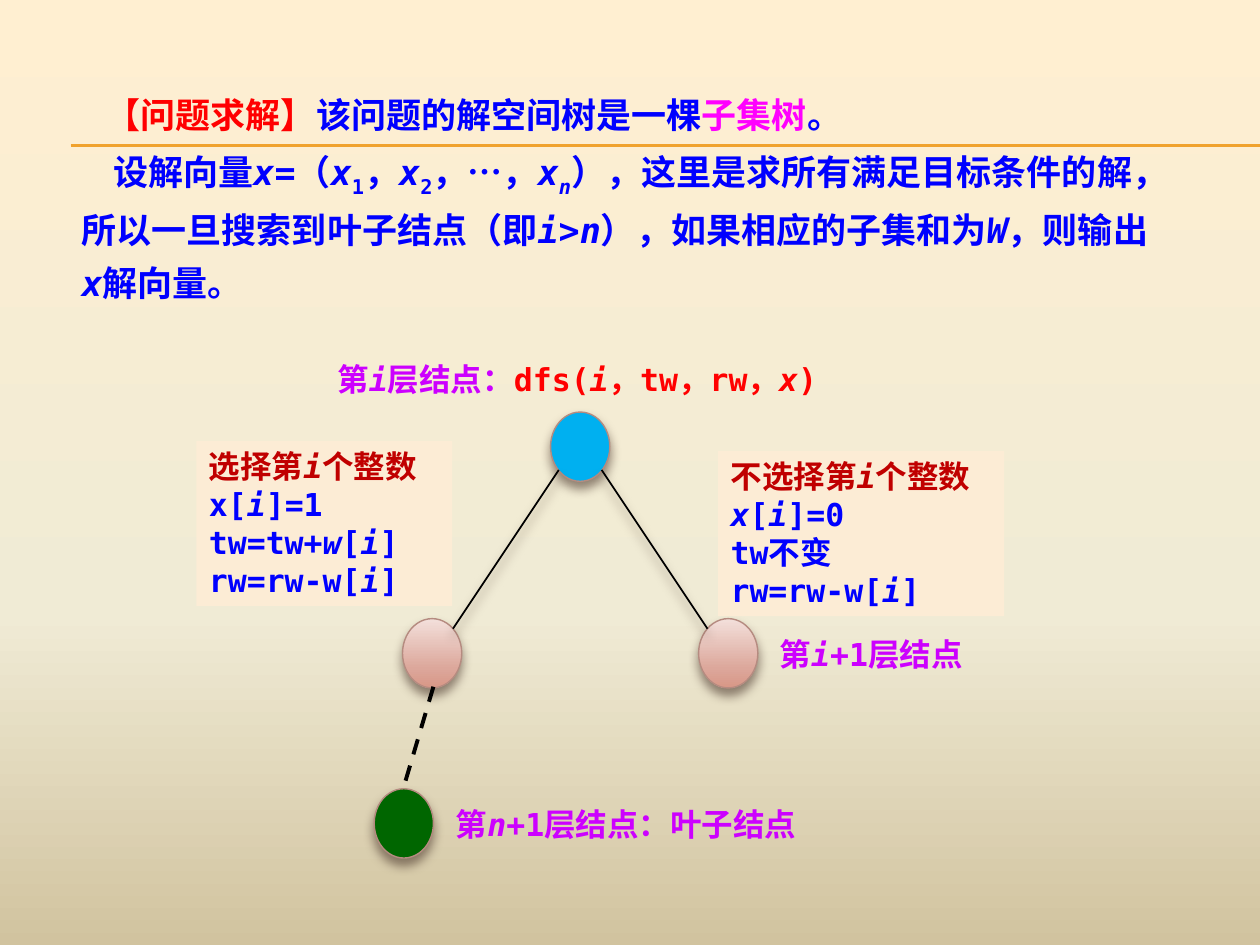
"""Build a slide that explains the subset tree of a subset-sum search."""
import pptx
import pptx.dml.color
import pptx.enum.dml
import pptx.enum.shapes
import pptx.enum.text
import pptx.oxml
import pptx.oxml.ns
import pptx.util
from pptx.util import Inches

MONO, CJK = "DejaVu Sans Mono", "Noto Sans CJK SC"
BLUE, RED, PINK, VIOLET, DARK_RED = "0000FF", "FF0000", "FF00FF", "CC00FF", "C00000"
BACKDROP = [(0, "FFEFD1"), (65, "F0EBD5"), (100, "D1C39F")]
ROSE = [(0, "F3E0DB"), (72, "DCA79B"), (100, "D89787")]
NODE_WIDTH, NODE_HEIGHT = 0.47, 0.55


def colour(value):
    """Return the RGB colour for a hex string."""
    return pptx.dml.color.RGBColor.from_string(value)


def apply(target, values):
    """Set each attribute named in values on the target."""
    for key, value in values.items():
        setattr(target, key, value)


def add_element(parent, tag, **attributes):
    """Append a drawing element with the given attributes."""
    element = pptx.oxml.parse_xml(f"<a:{tag} {pptx.oxml.ns.nsdecls('a')}/>")
    for key, value in attributes.items():
        element.set(key, str(value))
    parent.append(element)
    return element


def paint_gradient(fill, owner, stops):
    """Fill with a top-to-bottom gradient of (percent, colour) stops."""
    fill.gradient()
    fill.gradient_angle = 270
    stop_list = owner.find(".//" + pptx.oxml.ns.qn("a:gsLst"))
    for old_stop in list(stop_list):
        stop_list.remove(old_stop)
    for percent, value in stops:
        stop = add_element(stop_list, "gs", pos=percent * 1000)
        add_element(stop, "srgbClr", val=value)


def cast_shadow(effects):
    """Add a soft brown shadow below a shape."""
    shadow = add_element(effects, "outerShdw", blurRad=pptx.util.Pt(6),
                         dist=pptx.util.Pt(4), dir=90 * 60000, rotWithShape=0)
    tint = add_element(shadow, "srgbClr", val="4E3B30")
    add_element(tint, "alpha", val=60000)


def split_markup(markup):
    """Yield (text, italic, subscript) pieces; * and _ toggle the styles."""
    text, italic, subscript = "", False, False
    for char in markup:
        if char not in "*_":
            text += char
            continue
        if text:
            yield text, italic, subscript
        text = ""
        italic ^= char == "*"
        subscript ^= char == "_"
    if text:
        yield text, italic, subscript


def write_paragraphs(frame, paragraphs, size, spacing=None, indents=None):
    """Fill a frame with paragraphs of (colour, markup, font) parts."""
    apply(frame, {"word_wrap": True,
                  "vertical_anchor": pptx.enum.text.MSO_ANCHOR.TOP})
    for index, parts in enumerate(paragraphs):
        paragraph = frame.add_paragraph() if index else frame.paragraphs[0]
        apply(paragraph, {"alignment": pptx.enum.text.PP_ALIGN.LEFT, **(spacing or {})})
        if indents:
            paragraph._p.get_or_add_pPr().set("indent", str(Inches(indents[index])))
        for value, markup, *font in parts:
            for text, italic, subscript in split_markup(markup):
                run = paragraph.add_run()
                run.text = text
                apply(run.font, {"size": pptx.util.Pt(size), "bold": True, "italic": italic,
                                 "name": font[0] if font else MONO})
                run.font.color.rgb = colour(value)
                properties = run._r.get_or_add_rPr()
                add_element(properties, "ea", typeface=CJK)
                if subscript:
                    properties.set("baseline", "-25000")


def add_text(slide, box, paragraphs, size=18, **layout):
    """Add a text box."""
    label = slide.shapes.add_textbox(*map(Inches, box))
    write_paragraphs(label.text_frame, paragraphs, size, **layout)


def add_choice(slide, box, paragraphs):
    """Add a tinted panel that describes one branch."""
    panel = slide.shapes.add_shape(pptx.enum.shapes.MSO_SHAPE.RECTANGLE, *map(Inches, box))
    panel.shadow.inherit = False
    panel.fill.solid()
    panel.fill.fore_color.rgb = colour("FCECD5")
    panel.line.fill.background()
    write_paragraphs(panel.text_frame, paragraphs, 18)


def add_node(slide, left, top, fill):
    """Add a tree node filled with one colour or with gradient stops."""
    node = slide.shapes.add_shape(pptx.enum.shapes.MSO_SHAPE.OVAL,
                                  *map(Inches, (left, top, NODE_WIDTH, NODE_HEIGHT)))
    if isinstance(fill, str):
        node.fill.solid()
        node.fill.fore_color.rgb = colour(fill)
    else:
        paint_gradient(node.fill, node._element.spPr, fill)
    node.line.color.rgb = colour("B58B80")
    node.line.width = pptx.util.Pt(0.79)
    node.shadow.inherit = False
    cast_shadow(node._element.spPr.find(pptx.oxml.ns.qn("a:effectLst")))


def add_line(slide, start, end, value="000000", width=1, shadow=False, dash=None):
    """Add a straight line between two points."""
    line = slide.shapes.add_connector(pptx.enum.shapes.MSO_CONNECTOR.STRAIGHT,
                                      *map(Inches, (*start, *end)))
    line.line.color.rgb = colour(value)
    apply(line.line, {"width": pptx.util.Pt(width), "dash_style": dash})
    effects = add_element(line._element.spPr, "effectLst")
    if shadow:
        cast_shadow(effects)


def add_tree(slide):
    """Draw the root, its two children and the leaf."""
    root_left, root_top, child_top, reach = 4.37, 3.27, 4.91, 1.175
    centre = root_left + NODE_WIDTH / 2
    add_node(slide, root_left, root_top, "00B0F0")
    for side in (-1, 1):
        add_node(slide, root_left + side * reach, child_top, ROSE)
        add_line(slide, (centre + side * 0.17, 3.73), (centre + side * 1.01, 4.99), shadow=True)
    add_line(slide, (3.44, 5.45), (3.2, 6.26), width=2.25,
             dash=pptx.enum.dml.MSO_LINE.DASH)
    add_node(slide, 2.97, 6.26, "006600")


def main():
    """Build and save the slide."""
    deck = pptx.Presentation()
    apply(deck, {"slide_width": Inches(10), "slide_height": Inches(7.5)})
    slide = deck.slides.add_slide(deck.slide_layouts[6])
    paint_gradient(slide.background.fill, slide.element, BACKDROP)
    for height in (1.15, 1.16):
        add_line(slide, (0.56, height), (10, height), "F0A22E", 0.75)

    solution = [
        [(RED, "【问题求解】", CJK), (BLUE, "该问题的解空间树是一棵"),
         (PINK, "子集树", CJK), (BLUE, "。")],
        [(BLUE, "设解向量*x*=（*x*_1_，*x*_2_，"), (BLUE, "…", CJK),
         (BLUE, "，*x_n_*），这里是求所有满足目标条件的解，所以一旦搜索到叶子结点"
                "（即*i*>*n*），如果相应的子集和为*W*，则输出*x*解向量。")],
    ]
    add_text(slide, (0.55, 0.61, 8.67, 1.83), solution, 20, indents=(0.19, 0.25),
             spacing={"line_spacing": pptx.util.Pt(30), "space_before": pptx.util.Pt(6)})

    add_tree(slide)
    add_text(slide, (2.58, 2.81, 4.06, 0.4),
             [[(VIOLET, "第*i*层结点："), (RED, "dfs(*i*，tw，rw，*x*)")]])
    add_choice(slide, (1.56, 3.5, 2.03, 1.31), [
        [(DARK_RED, "选择第*i*个整数")], [(BLUE, "x[*i*]=1")],
        [(BLUE, "tw=tw+*w*[*i*]")], [(BLUE, "rw=rw-w[*i*]")]])
    add_choice(slide, (5.7, 3.58, 2.27, 1.31), [
        [(DARK_RED, "不选择第*i*个整数")], [(BLUE, "*x*[*i*]=0")],
        [(BLUE, "tw不变")], [(BLUE, "rw=rw-w[*i*]")]])
    add_text(slide, (6.09, 4.99, 2.34, 0.4), [[(VIOLET, "第*i*+1层结点")]])
    add_text(slide, (3.52, 6.34, 3.05, 0.4), [[(VIOLET, "第*n*+1层结点：叶子结点")]])
    deck.save("out.pptx")


if __name__ == "__main__":
    main()
